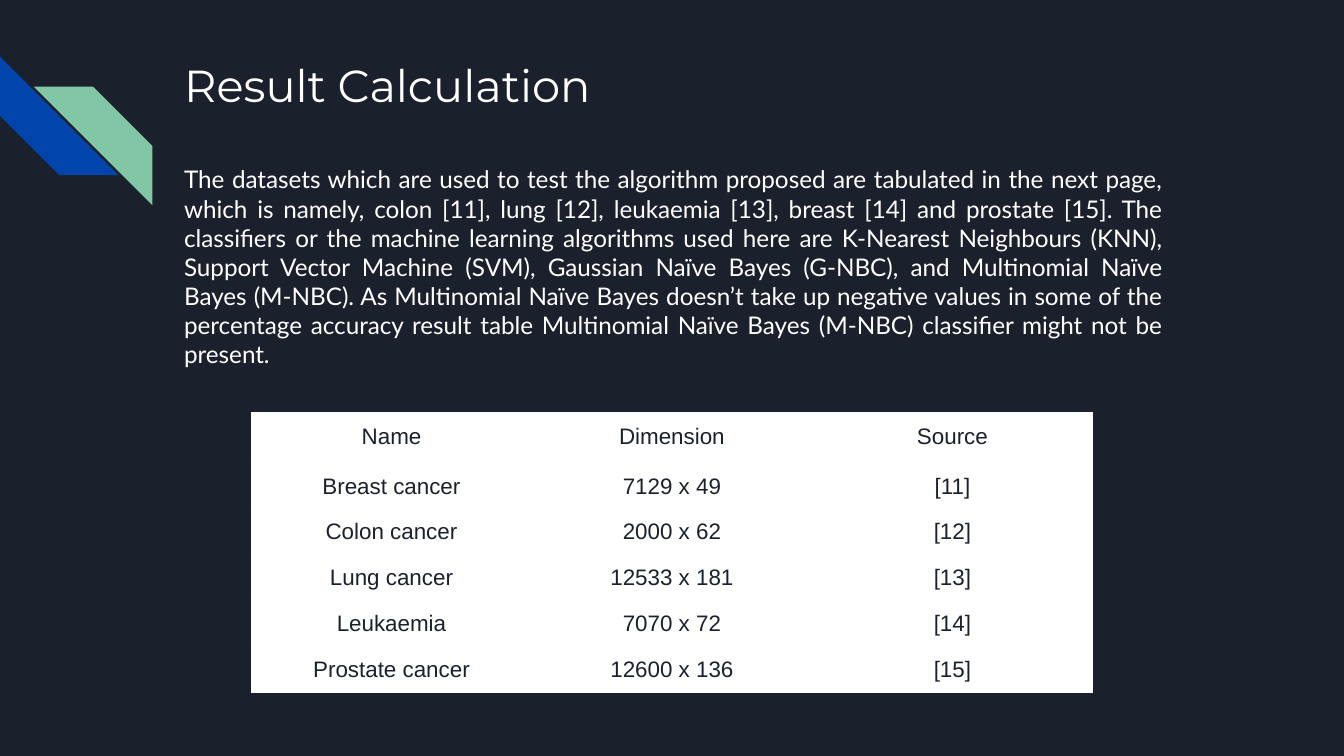
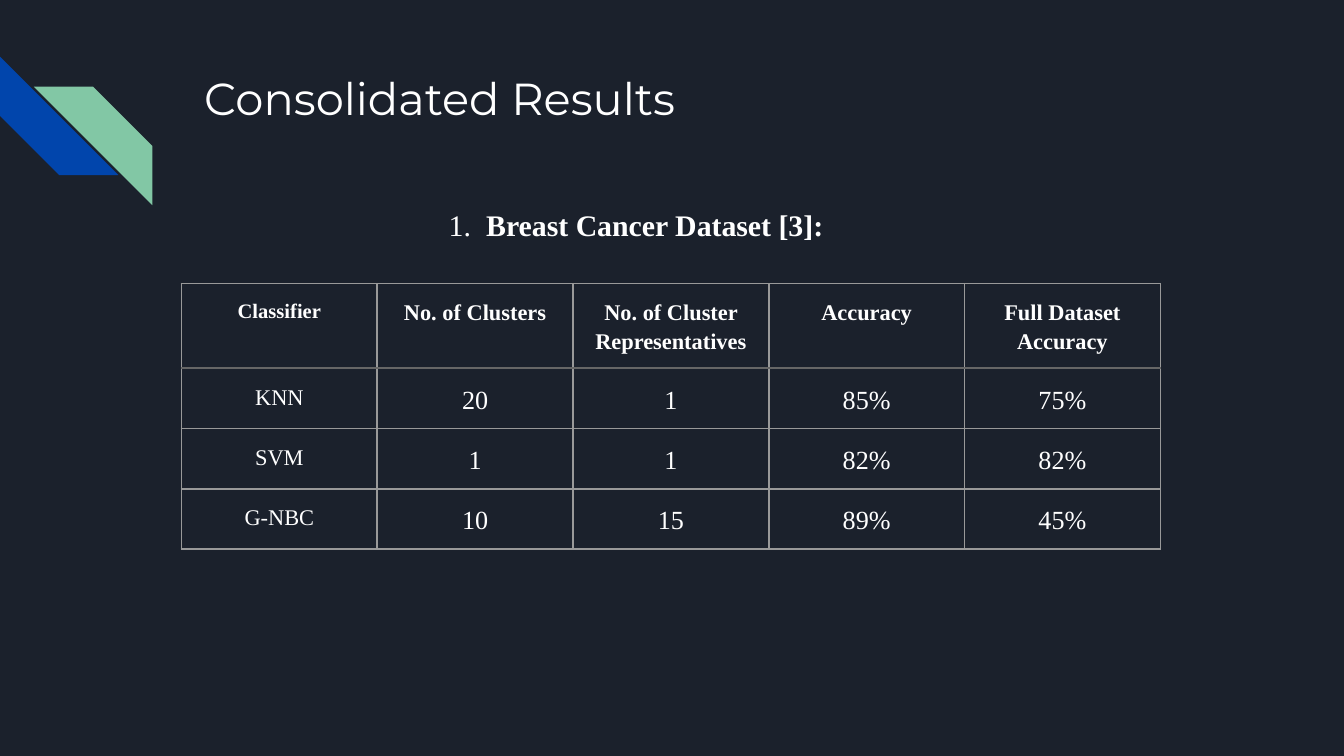
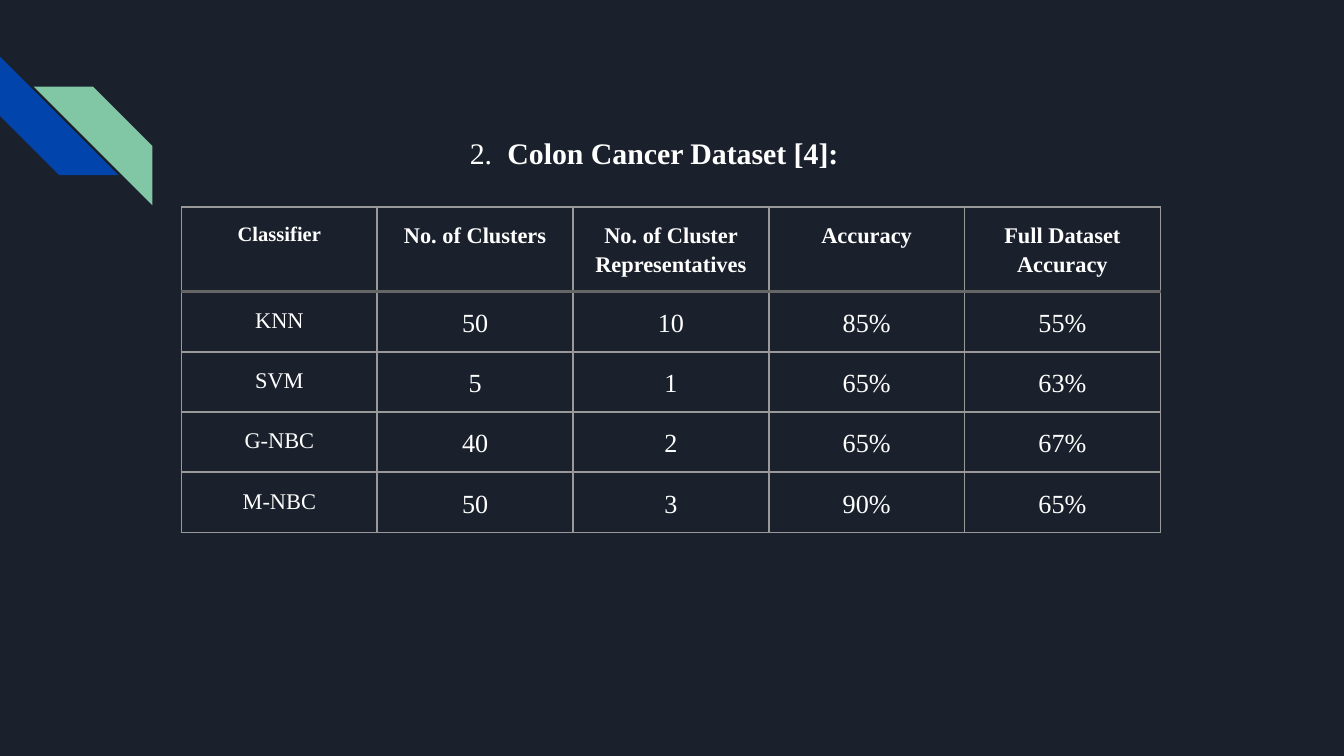
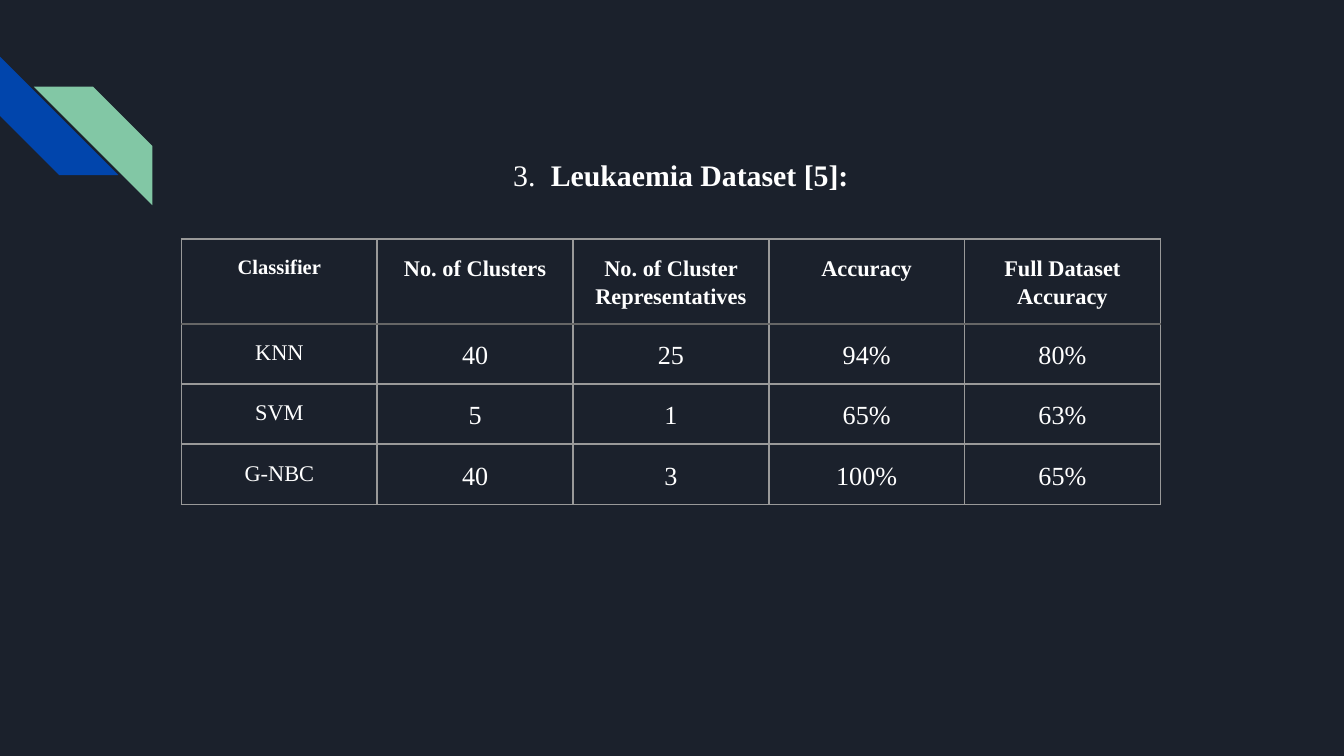
from lxml import etree
from pptx import Presentation
from pptx.dml.color import RGBColor
from pptx.enum.shapes import MSO_SHAPE
from pptx.enum.text import MSO_ANCHOR, MSO_AUTO_SIZE, PP_ALIGN
from pptx.oxml.ns import qn
from pptx.util import Cm, Pt

STRIPE = MSO_SHAPE.DIAGONAL_STRIPE
TOP, MIDDLE = MSO_ANCHOR.TOP, MSO_ANCHOR.MIDDLE
LEFT, CENTER, JUSTIFY = PP_ALIGN.LEFT, PP_ALIGN.CENTER, PP_ALIGN.JUSTIFY
NO_FIT = MSO_AUTO_SIZE.NONE
TITLE_ONLY = 5

COLORS = {
    "night": "1B212C",
    "white": "FFFFFF",
    "blue": "0145AC",
    "green": "82C7A5",
    "grid": "999999",
    "header_rule": "666666",
}
TITLE_FONT, BODY_FONT, PLAIN_FONT, RESULT_FONT = (
    "Montserrat", "Lato", "Arial", "Times New Roman")

INTRO = (
    "The datasets which are used to test the algorithm proposed are tabulated in the "
    "next page, which is namely, colon [11], lung [12], leukaemia [13], breast [14] and "
    "prostate [15]. The classifiers or the machine learning algorithms used here are "
    "K-Nearest Neighbours (KNN), Support Vector Machine (SVM), Gaussian Naïve Bayes "
    "(G-NBC), and Multinomial Naïve Bayes (M-NBC). As Multinomial Naïve Bayes doesn’t "
    "take up negative values in some of the percentage accuracy result table Multinomial "
    "Naïve Bayes (M-NBC) classifier might not be present."
)
DATASETS = [
    ("Name", "Dimension", "Source"),
    ("Breast cancer", "7129 x 49", "[11]"),
    ("Colon cancer", "2000 x 62", "[12]"),
    ("Lung cancer", "12533 x 181", "[13]"),
    ("Leukaemia", "7070 x 72", "[14]"),
    ("Prostate cancer", "12600 x 136", "[15]"),
]
RESULT_HEADER = ("Classifier", "No. of Clusters", "No. of Cluster Representatives",
                 "Accuracy", "Full Dataset Accuracy")

# Each result page: title, heading, heading box (cm), table top (cm), rows
RESULTS = [
    ("Consolidated Results", "Breast Cancer Dataset [3]:", (8.13, 3.63, 9.14, 1.12), 5.36, [
        ("KNN", "20", "1", "85%", "75%"),
        ("SVM", "1", "1", "82%", "82%"),
        ("G-NBC", "10", "15", "89%", "45%"),
    ]),
    (None, "Colon Cancer Dataset [4]:", (8.53, 2.24, 8.36, 1.19), 3.91, [
        ("KNN", "50", "10", "85%", "55%"),
        ("SVM", "5", "1", "65%", "63%"),
        ("G-NBC", "40", "2", "65%", "67%"),
        ("M-NBC", "50", "3", "90%", "65%"),
    ]),
    (None, "Leukaemia Dataset [5]:", (9.35, 2.59, 7.77, 1.32), 4.52, [
        ("KNN", "40", "25", "94%", "80%"),
        ("SVM", "5", "1", "65%", "63%"),
        ("G-NBC", "40", "3", "100%", "65%"),
    ]),
]


def color(name):
    return RGBColor.from_string(COLORS[name])


class Deck:
    """Holds the shared style and the slide being built."""

    def __init__(self):
        self.deck = Presentation()
        self.deck.slide_width, self.deck.slide_height = Cm(25.4), Cm(14.29)
        self.page = None
        master = self.deck.slide_master
        master.background.fill.solid()
        master.background.fill.fore_color.rgb = color("night")

    def new_page(self, title=None, area=None):
        self.page = self.deck.slides.add_slide(self.deck.slide_layouts[TITLE_ONLY])
        if len(self.deck.slides) == 1:
            self.master_stripes()
        box = self.page.shapes.title
        if title is None:
            box.element.getparent().remove(box.element)
            return
        box.left, box.top, box.width, box.height = map(Cm, area)
        self.set_frame(box.text_frame, TOP, 0.25)
        para = box.text_frame.paragraphs[0]
        para.text = title
        self.set_style(para, TITLE_FONT, 24, "white", LEFT)

    def master_stripes(self):
        """Draw the corner stripes and move them to the master."""
        for left, top, turn, fill in ((0, 1.07, 270, "blue"), (0.64, 1.64, 90, "green")):
            stripe = self.page.shapes.add_shape(STRIPE, Cm(left), Cm(top), Cm(2.24), Cm(2.24))
            stripe.rotation = turn
            stripe.shadow.inherit = False
            stripe.fill.solid()
            stripe.fill.fore_color.rgb = color(fill)
            stripe.line.fill.background()
            self.deck.slide_master.shapes.element.append(stripe.element)

    def set_frame(self, frame, anchor, inset):
        frame.word_wrap = True
        frame.auto_size = NO_FIT
        frame.vertical_anchor = anchor
        frame.margin_left = frame.margin_right = Cm(0.25)
        frame.margin_top = frame.margin_bottom = Cm(inset)

    def set_style(self, para, font, size, ink, align, spacing=1.0, bold=False):
        para.alignment = align
        para.line_spacing = spacing
        para.font.name, para.font.size, para.font.bold = font, Pt(size), bold
        para.font.color.rgb = color(ink)

    def text_box(self, area, inset):
        box = self.page.shapes.add_textbox(*map(Cm, area))
        self.set_frame(box.text_frame, MIDDLE, inset)
        return box.text_frame.paragraphs[0]

    def body_text(self, text, area):
        para = self.text_box(area, 0.13)
        para.text = text
        self.set_style(para, BODY_FONT, 13, "white", JUSTIFY)

    def numbered_heading(self, number, text, area):
        para = self.text_box(area, 0.25)
        self.set_style(para, RESULT_FONT, 16, "white", LEFT, 1.15)
        # Hanging indent: the tab after the number lands on the left margin
        properties = para.font._element.getparent()
        properties.set("marL", str(Cm(0.81)))
        properties.set("indent", str(-Cm(0.71)))
        para.add_run().text = f"{number}.\t"
        span = para.add_run()
        span.text = text
        span.font.bold = True

    def table(self, rows, left, top, column_width, header_height, row_height, format_cell):
        columns = len(rows[0])
        height = header_height + row_height * (len(rows) - 1)
        grid = self.page.shapes.add_table(
            len(rows), columns, Cm(left), Cm(top), Cm(column_width * columns), Cm(height)).table
        grid.first_row = grid.horz_banding = False
        for column in grid.columns:
            column.width = Cm(column_width)
        for i, values in enumerate(rows):
            grid.rows[i].height = Cm(row_height if i else header_height)
            for j, value in enumerate(values):
                cell = grid.cell(i, j)
                cell.margin_left = cell.margin_right = Cm(0.18)
                cell.text = value
                format_cell(cell, i, j)

    def dataset_cell(self, cell, row, column):
        cell.margin_top = cell.margin_bottom = Cm(0.18)
        cell.fill.solid()
        cell.fill.fore_color.rgb = color("white")
        self.set_style(cell.text_frame.paragraphs[0], PLAIN_FONT, 12, "night", CENTER, 1.07)

    def result_cell(self, cell, row, column):
        cell.margin_top = cell.margin_bottom = Cm(0.25)
        grid, rule = ("grid", 0.98), ("header_rule", 1.5)
        self.cell_borders(cell, lnL=grid, lnR=grid,
                          lnT=rule if row == 1 else grid,
                          lnB=rule if row == 0 else grid)
        cell.fill.background()
        if row == 0:
            size = 12 if column else 11
        else:
            size = 14 if column else 12
        self.set_style(cell.text_frame.paragraphs[0], RESULT_FONT, size, "white",
                       CENTER, 1.15, row == 0)

    def cell_borders(self, cell, **sides):
        properties = cell._tc.get_or_add_tcPr()
        for side, (name, width) in sides.items():
            line = etree.SubElement(properties, qn(f"a:{side}"), w=str(Pt(width)))
            fill = etree.SubElement(line, qn("a:solidFill"))
            etree.SubElement(fill, qn("a:srgbClr"), val=COLORS[name])


def main():
    deck = Deck()

    # Datasets
    deck.new_page("Result Calculation", (3.23, 0.84, 19.56, 2.54))
    deck.table(DATASETS, 4.75, 7.8, 5.3, 0.94, 0.86, deck.dataset_cell)
    deck.body_text(INTRO, (3.23, 2.97, 18.97, 4.14))

    # Results, one dataset a page
    for number, (title, heading, area, top, rows) in enumerate(RESULTS, 1):
        deck.new_page(title, (3.61, 1.09, 9.83, 2.54))
        deck.table([RESULT_HEADER] + rows, 3.43, top, 3.7, 1.6, 1.14, deck.result_cell)
        deck.numbered_heading(number, heading, area)

    deck.deck.save("out.pptx")


if __name__ == "__main__":
    main()
